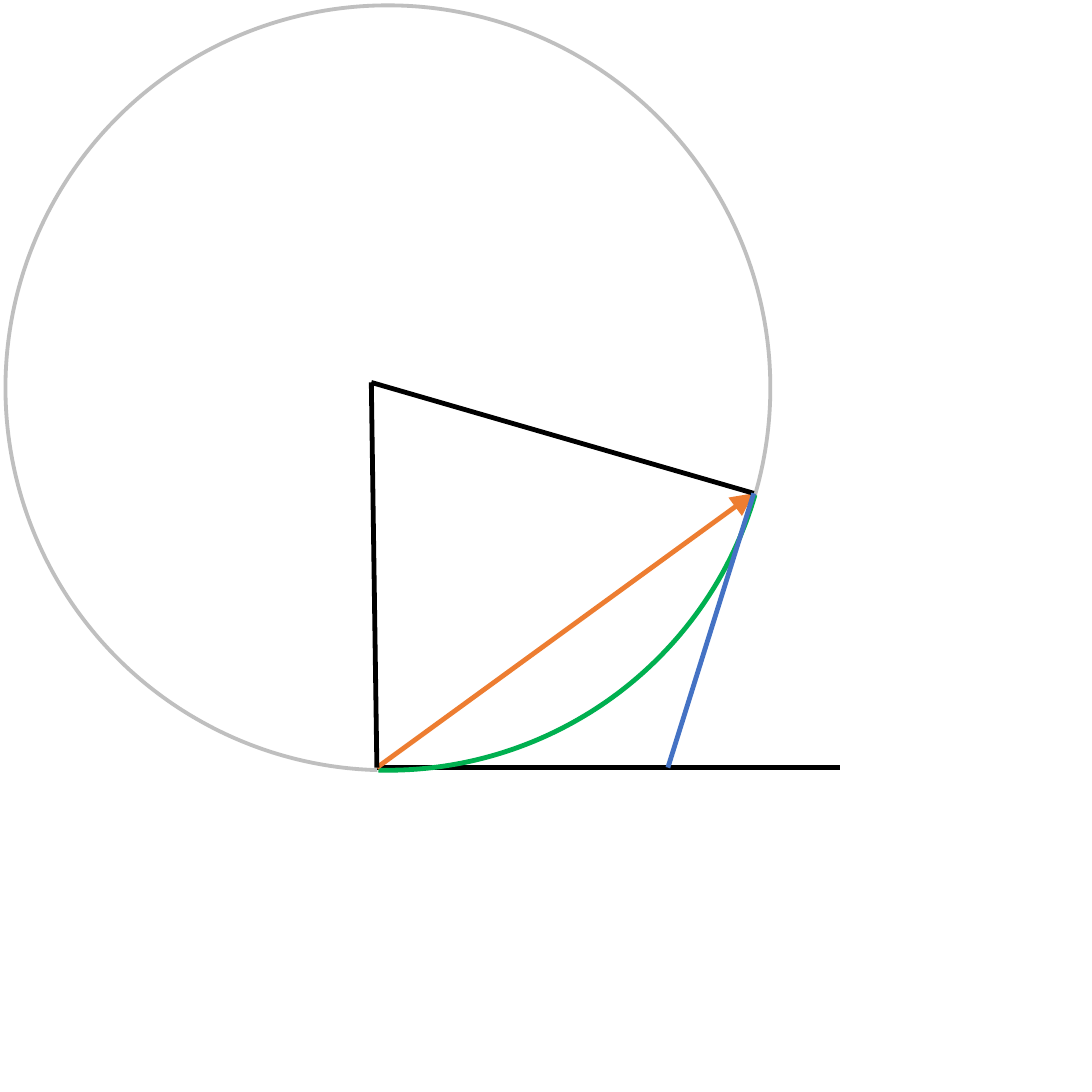
from pptx import Presentation
from pptx.dml.color import RGBColor
from pptx.enum.shapes import MSO_CONNECTOR, MSO_SHAPE
from pptx.oxml.ns import qn
from pptx.util import Inches, Pt
from lxml.etree import SubElement

BLACK, GREY, GREEN = "000000", "BFBFBF", "00B050"
ORANGE, BLUE = "ED7D31", "4472C4"


def rgb(color):
    return RGBColor.from_string(color)


def add_arc(s, left, top, size, start, end, color, width):
    arc = s.shapes.add_shape(MSO_SHAPE.ARC, Inches(left), Inches(top),
                             Inches(size), Inches(size))
    for i, degrees in enumerate((start, end)):
        arc.adjustments[i] = degrees * 60000 / 100000
    arc.rotation = 270
    arc.element.spPr.find(qn("a:xfrm")).set("flipH", "1")
    arc.shadow.inherit = False
    arc.fill.background()
    arc.line.color.rgb = rgb(color)
    arc.line.width = Pt(width)


def add_line(s, begin, end, color, arrow=False):
    line = s.shapes.add_connector(MSO_CONNECTOR.STRAIGHT,
                                  *(Inches(v) for v in begin + end))
    line.line.color.rgb = rgb(color)
    line.line.width = Pt(1.25)
    sp_pr = line.element.spPr
    if arrow:
        SubElement(sp_pr.find(qn("a:ln")), qn("a:tailEnd"), type="triangle")
    SubElement(sp_pr, qn("a:effectLst"))


def add_circle_diagram(s, left, top, size):
    def point(x, y):
        return left + x, top + y

    centre = point(1.32, 1.36)
    arc_start = point(1.34, 2.75)
    arc_end = point(2.7, 1.76)
    tangent_end = point(3.01, 2.75)
    tangent_meet = point(2.39, 2.75)

    add_arc(s, left, top, size, 358.6, 358.42, GREY, 1)
    add_line(s, arc_start, tangent_end, BLACK)
    add_arc(s, left, top, size, 358.6, 73.73, GREEN, 1.25)
    add_line(s, arc_start, arc_end, ORANGE, arrow=True)
    for radius_end in (arc_start, arc_end):
        add_line(s, centre, radius_end, BLACK)
    add_line(s, arc_end, tangent_meet, BLUE)


def main():
    prs = Presentation()
    prs.slide_width = prs.slide_height = Inches(3.94)
    s = prs.slides.add_slide(prs.slide_layouts[6])
    add_circle_diagram(s, 0.02, 0.02, 2.76)
    prs.save("out.pptx")


if __name__ == "__main__":
    main()
